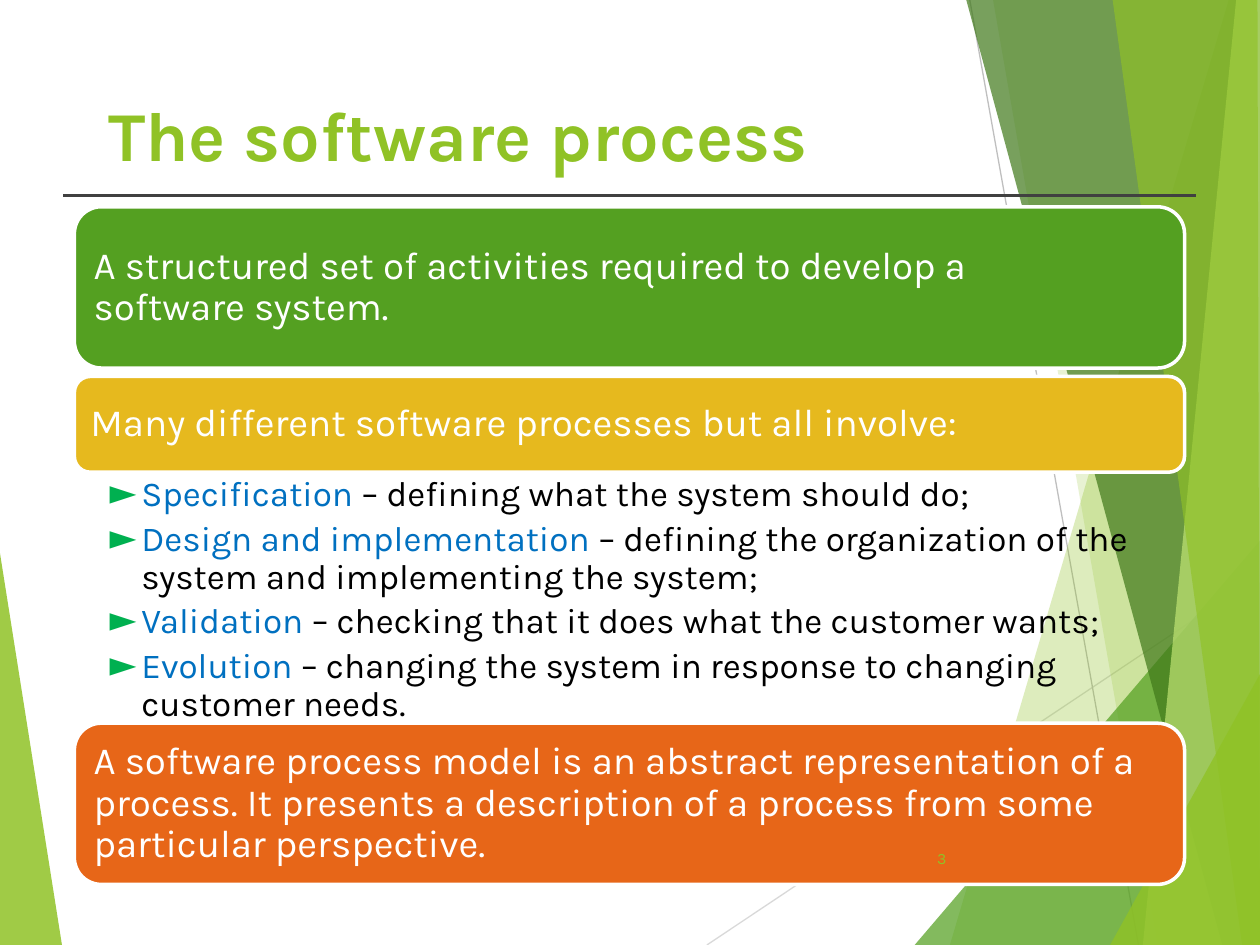
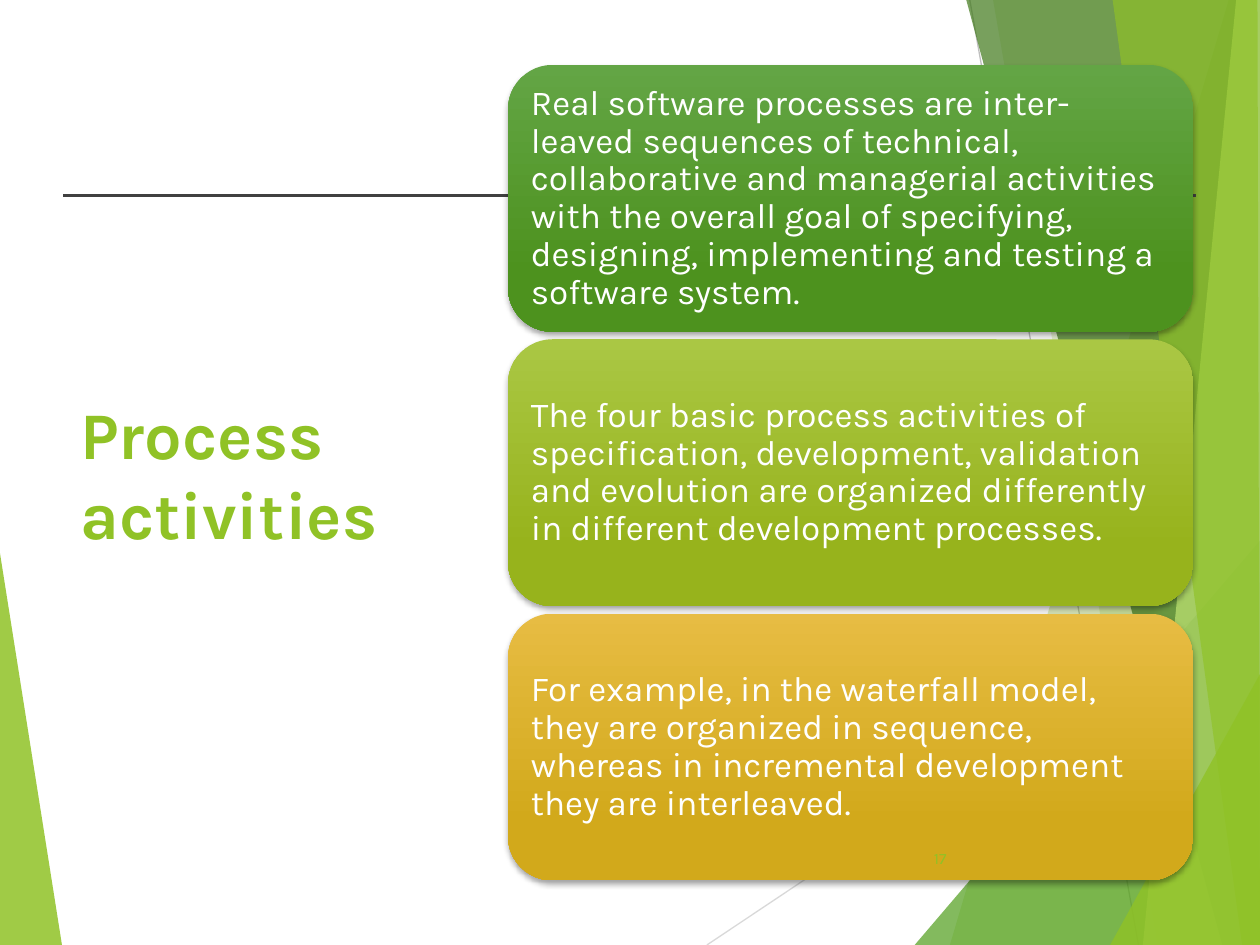
from lxml import etree
from pptx import Presentation, util as u
from pptx.dml.color import RGBColor
from pptx.enum import shapes, text
from pptx.oxml.ns import qn

FONT = "Karla"
COLOURS = {
    "lime": "90C226", "green": "54A021", "forest": "3F7819", "pale": "C0E474",
    "gold": "E6B91E", "orange": "E76618", "white": "FFFFFF", "black": "000000",
    "rule": "404040", "light_line": "D9D9D9", "grey_line": "BFBFBF",
    "term": "0070C0", "bullet": "00B050",
    "green_top": "63A545", "green_base": "4D921E",
    "lime_top": "AAC744", "lime_base": "97B31C",
    "gold_top": "E7BC43", "gold_base": "D2A91B",
}
RGB = {name: RGBColor.from_string(value) for name, value in COLOURS.items()}
WIDTH, HEIGHT = 25.4, 19.05

FACETS = [
    ("lime", 85, [(0, 11.15), (1.25, HEIGHT), (0, HEIGHT)]),
    ("lime", 30, [(24.77, 0), (19.15, HEIGHT), (WIDTH, HEIGHT), (WIDTH, 0)]),
    ("lime", 20, [(20.02, 0), (23.34, HEIGHT), (WIDTH, HEIGHT), (WIDTH, 0)]),
    ("green", 72, [(18.44, HEIGHT), (WIDTH, 10.9), (WIDTH, HEIGHT)]),
    ("forest", 70, [(19.48, 0), (24.64, HEIGHT), (WIDTH, HEIGHT), (WIDTH, 0)]),
    ("pale", 70, [(24.92, 0), (23.04, HEIGHT), (WIDTH, HEIGHT), (WIDTH, 0)]),
    ("lime", 65, [(22.43, 0), (25.04, HEIGHT), (WIDTH, HEIGHT), (25.35, 0)]),
    ("lime", 80, [(22.38, HEIGHT), (WIDTH, 13.59), (WIDTH, HEIGHT)]),
]
LINES = [
    ("light_line", 0.75, (14.25, HEIGHT, WIDTH, 11.6)),
    ("grey_line", 0.75, (19.55, 0, 22.95, HEIGHT)),
    ("rule", 1.5, (1.27, 3.94, 24.1, 3.94)),
]


def write(shape, paragraphs, size=20, colour="white", bold=False, spacing=None,
          after=0, insets=(0.25, 0.13, 0.25, 0.13), anchor="MIDDLE",
          align="LEFT", bullet=None):
    frame = shape.text_frame
    frame.word_wrap = True
    frame.vertical_anchor = text.MSO_ANCHOR[anchor]
    for side, inset in zip(("left", "top", "right", "bottom"), insets):
        setattr(frame, f"margin_{side}", u.Cm(inset))
    for number, runs in enumerate(paragraphs):
        paragraph = frame.add_paragraph() if number else frame.paragraphs[0]
        paragraph.alignment = text.PP_ALIGN[align]
        paragraph.space_after = u.Pt(after)
        if spacing:
            paragraph.line_spacing = spacing
        if bullet:
            properties = paragraph._p.get_or_add_pPr()
            properties.set("marL", str(u.Cm(0.64)))
            properties.set("indent", str(-u.Cm(0.64)))
            tint = etree.SubElement(properties, qn("a:buClr"))
            etree.SubElement(tint, qn("a:srgbClr"), val=COLOURS["bullet"])
            etree.SubElement(properties, qn("a:buFont"), typeface=FONT)
            etree.SubElement(properties, qn("a:buChar"), char=bullet)
        for content, run_colour in [(runs, colour)] if isinstance(runs, str) else runs:
            for row, line in enumerate(content.split("\n")):
                if row:
                    paragraph.add_line_break()
                run = paragraph.add_run()
                run.text = line
                run.font.name = FONT
                run.font.size = u.Pt(size)
                run.font.bold = bold
                run.font.color.rgb = RGB[run_colour]


def add_card(slide, left, top, width, height):
    card = slide.shapes.add_shape(
        shapes.MSO_SHAPE.ROUNDED_RECTANGLE, *map(u.Cm, (left, top, width, height)))
    card.shadow.inherit = False
    return card


presentation = Presentation()
presentation.slide_width = u.Cm(WIDTH)
presentation.slide_height = u.Cm(HEIGHT)

slides = []
for title, size, box in [
    ("The software process", 40, (1.93, 1.6, 17.9, 2.18)),
    ("Process activities", 38, (1.37, 3.84, 7.39, 11.38)),
]:
    slide = presentation.slides.add_slide(presentation.slide_layouts[6])
    slides.append(slide)
    facets = list(FACETS)
    for colour, weight, ends in LINES:
        line = slide.shapes.add_connector(
            shapes.MSO_CONNECTOR.STRAIGHT, *map(u.Cm, ends))
        line.line.color.rgb = RGB[colour]
        line.line.width = u.Pt(weight)
        etree.SubElement(line._element.spPr, qn("a:effectLst"))
    rule = line
    for colour, opacity, points in FACETS:
        start, *rest = [(u.Cm(x), u.Cm(y)) for x, y in points]
        builder = slide.shapes.build_freeform(*start)
        builder.add_line_segments(rest, close=True)
        facet = builder.convert_to_shape()
        facet.shadow.inherit = False
        facet.line.fill.background()
        facet.fill.solid()
        facet.fill.fore_color.rgb = RGB[colour]
        tint = facet._element.spPr.find(f".//{qn('a:srgbClr')}")
        etree.SubElement(tint, qn("a:alpha"), val=str(opacity * 1000))
    slide.shapes._spTree.append(rule._element)
    write(slide.shapes.add_textbox(*map(u.Cm, box)), [title],
          size=size, colour="lime", bold=True)

process_slide, activities_slide = slides

for colour, top, height, statement in [
    ("green", 4.17, 3.25,
     "A structured set of activities required to develop a \nsoftware system."),
    ("gold", 7.59, 1.93, "Many different software processes but all involve:"),
    ("orange", 14.58, 3.25,
     "A software process model is an abstract representation of a process. "
     "It presents a description of a process from some particular perspective."),
]:
    card = add_card(process_slide, 1.5, top, 22.38, height)
    card.fill.solid()
    card.fill.fore_color.rgb = RGB[colour]
    card.line.color.rgb = RGB["white"]
    card.line.width = u.Pt(2)
    write(card, [statement], size=22, spacing=0.9, insets=[0.23] * 4)

activities = [
    ("Specification", " – defining what the system should do;"),
    ("Design and implementation",
     " – defining the organization of the system and implementing the system;"),
    ("Validation", " – checking that it does what the customer wants;"),
    ("Evolution", " – changing the system in response to changing customer needs."),
]
activity_list = process_slide.shapes.add_textbox(
    *map(u.Cm, (1.5, 9.52, 22.38, 5.06)))
write(activity_list,
      [[(term, "term"), (meaning, "black")] for term, meaning in activities],
      spacing=0.9, after=4, insets=(0.71, 0.08, 0.41, 0.08), anchor="TOP", bullet="►")

for row, (colour, statement) in enumerate([
    ("green", "Real software processes are inter-leaved sequences of technical, "
     "collaborative and managerial activities with the overall goal of specifying, "
     "designing, implementing and testing a software system."),
    ("lime", "The four basic process activities of specification, development, "
     "validation and evolution are organized differently in different "
     "development processes."),
    ("gold", "For example, in the waterfall model, they are organized in sequence, "
     "whereas in incremental development they are interleaved."),
]):
    card = add_card(activities_slide, 10.24, 1.31 + row * 5.53, 13.82, 5.38)
    card.line.fill.background()
    card.fill.gradient()
    card.fill.gradient_angle = 270
    for stop, end, position in zip(card.fill.gradient_stops, ("top", "base"), (0, 0.78)):
        stop.color.rgb = RGB[f"{colour}_{end}"]
        stop.position = position
    effects = card._element.spPr.find(qn("a:effectLst"))
    shadow = etree.SubElement(effects, qn("a:outerShdw"), blurRad=str(u.Pt(3)),
                              dist=str(u.Pt(2)), dir="5400000", rotWithShape="0")
    tint = etree.SubElement(shadow, qn("a:srgbClr"), val=COLOURS["black"])
    etree.SubElement(tint, qn("a:alpha"), val="35000")
    write(card, [statement], spacing=0.9, insets=[0.2] * 4)

for slide, number in zip(slides, ("3", "17")):
    number_box = slide.shapes.add_textbox(*map(u.Cm, (17.6, 16.8, 1.73, 1.01)))
    write(number_box, [number], size=9, colour="lime", align="RIGHT")

presentation.save("out.pptx")
